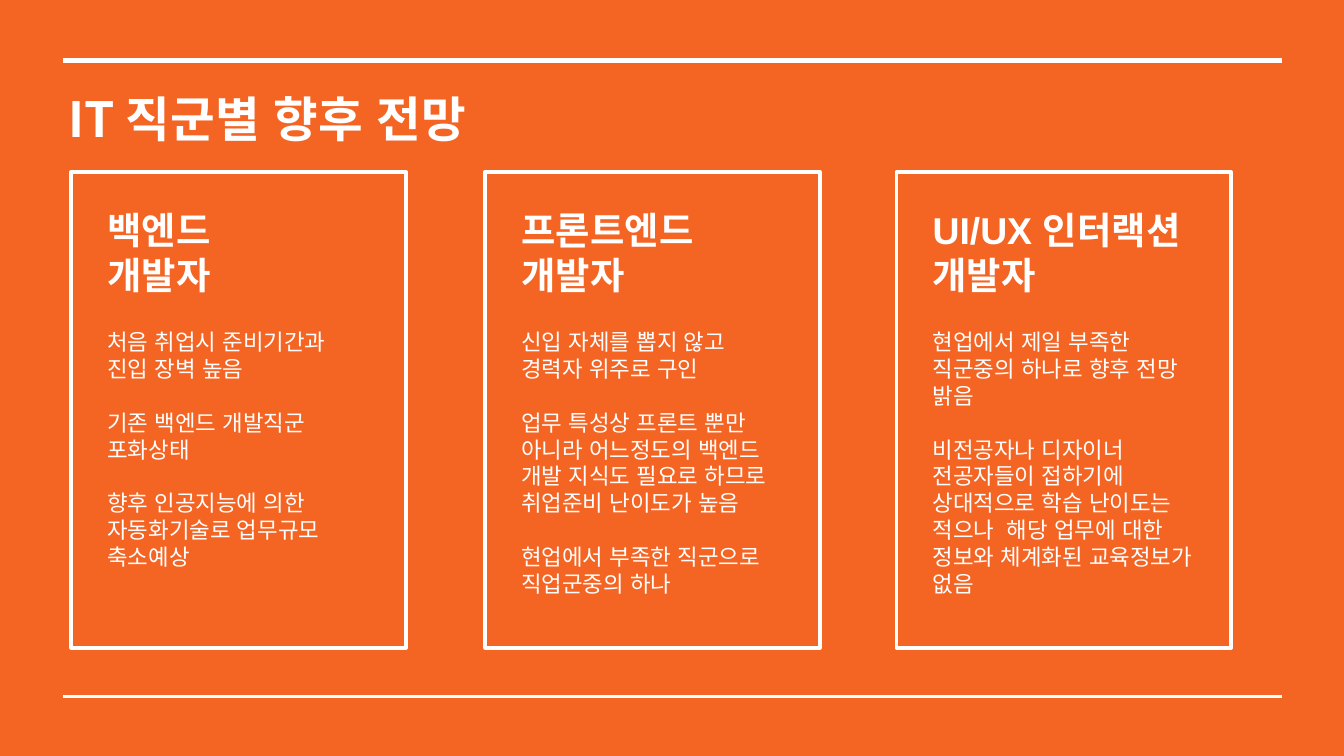
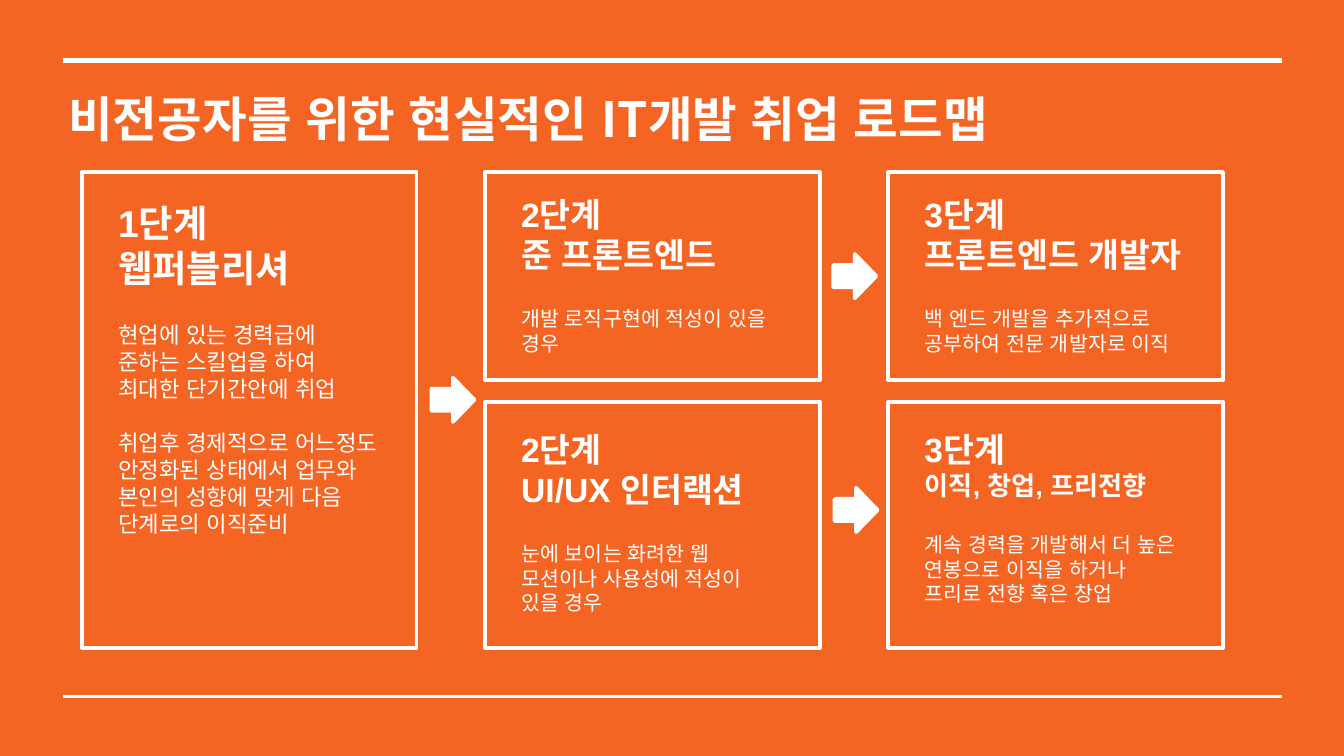
from lxml import etree
from pptx import Presentation
from pptx.dml.color import RGBColor
from pptx.enum.shapes import MSO_CONNECTOR, MSO_SHAPE
from pptx.enum.text import MSO_ANCHOR, MSO_AUTO_SIZE, PP_ALIGN
from pptx.oxml.ns import qn
from pptx.util import Inches, Pt

STRAIGHT = MSO_CONNECTOR.STRAIGHT
RECTANGLE, RIGHT_ARROW = MSO_SHAPE.RECTANGLE, MSO_SHAPE.RIGHT_ARROW
TOP, LEFT = MSO_ANCHOR.TOP, PP_ALIGN.LEFT
GROW = MSO_AUTO_SIZE.SHAPE_TO_FIT_TEXT

ORANGE = RGBColor(0xF4, 0x65, 0x24)
WHITE = RGBColor(0xFF, 0xFF, 0xFF)
BODY_FONT = "Arial"
TITLE_FONT = "Noto Sans CJK KR"

SLIDE_WIDTH = Inches(10)
SLIDE_HEIGHT = SLIDE_WIDTH * 9 // 16

# Rules across every slide: top, weight in points
RULES = [(0.45, 3), (5.18, 1.5)]
RULE_LEFT, RULE_RIGHT = 0.47, 9.54

CARD_TOP, CARD_WIDTH, CARD_HEIGHT = 1.28, 2.49, 3.54
TEXT_INDENT, TEXT_WIDTH = 0.17, 2.15
HEADING_GAP = 17
LINE_RATIO = 1.2

OUTLOOK_TITLE = "IT 직군별 향후 전망"
# Left edge, heading lines, body paragraphs, text height
OUTLOOK_CARDS = [
    (0.53, ["백엔드", "개발자"],
     ["처음 취업시 준비기간과 진입 장벽 높음",
      "기존 백엔드 개발직군 포화상태",
      "향후 인공지능에 의한 자동화기술로 업무규모 축소예상"], 2.83),
    (3.61, ["프론트엔드 개발자"],
     ["신입 자체를 뽑지 않고 경력자 위주로 구인",
      "업무 특성상 프론트 뿐만 아니라 어느정도의 백엔드 개발 지식도 필요로 하므로 취업준비 난이도가 높음",
      "현업에서 부족한 직군으로 직업군중의 하나"], 3.23),
    (6.67, ["UI/UX 인터랙션", "개발자"],
     ["현업에서 제일 부족한 직군중의 하나로 향후 전망 밝음",
      "비전공자나 디자이너 전공자들이 접하기에 상대적으로 학습 난이도는 적으나  해당 업무에 대한 "
      "정보와 체계화된 교육정보가 없음"], 3.03),
]

ROADMAP_TITLE = "비전공자를 위한 현실적인 IT개발 취업 로드맵"
STEP_LEFT, STEP_PITCH = 0.61, 3.0
# Row: card top, card height, text offset
FULL_ROW = (CARD_TOP, CARD_HEIGHT, 0.16)
UPPER_ROW = (CARD_TOP, 1.55, 0.11)
LOWER_ROW = (2.99, 1.83, 0.15)
# Column, row, heading lines, heading sizes, body paragraphs, body size, text width and height
ROADMAP_STEPS = [
    (0, FULL_ROW, ["1단계", "웹퍼블리셔"], [20, 20],
     ["현업에 있는 경력급에 준하는 스킬업을 하여 최대한 단기간안에 취업",
      "취업후 경제적으로 어느정도 안정화된 상태에서 업무와 본인의 성향에 맞게 다음 단계로의 이직준비"],
     12, TEXT_WIDTH, 3.03),
    (1, UPPER_ROW, ["2단계", "준 프론트엔드"], [18, 18],
     ["개발 로직구현에 적성이 있을 경우"], 11, TEXT_WIDTH, 1.31),
    (1, LOWER_ROW, ["2단계", "UI/UX 인터랙션"], [18, 18],
     ["눈에 보이는 화려한 웹 모션이나 사용성에 적성이 있을 경우"], 11, TEXT_WIDTH, 1.5),
    (2, UPPER_ROW, ["3단계", "프론트엔드 개발자"], [18, 18],
     ["백 엔드 개발을 추가적으로 공부하여 전문 개발자로 이직"], 11, 2.32, 1.31),
    (2, LOWER_ROW, ["3단계", "이직, 창업, 프리전향"], [18, 14],
     ["계속 경력을 개발해서 더 높은 연봉으로 이직을 하거나 프리로 전향 혹은 창업"],
     11, TEXT_WIDTH, 1.62),
]
STEP_ARROWS = [(3.21, 2.81), (6.2, 1.89), (6.21, 3.63)]


def style_runs(paragraph, size, bold, latin_font=BODY_FONT):
    for run in paragraph.runs:
        font = run.font
        font.name, font.size, font.bold = latin_font, Pt(size), bold
        font.color.rgb = WHITE
        latin = run._r.rPr.find(qn("a:latin"))
        latin.addnext(etree.Element(qn("a:ea"), typeface=BODY_FONT))


def add_text_box(shapes, left, top, width, height):
    box = shapes.add_textbox(Inches(left), Inches(top), Inches(width), Inches(height))
    frame = box.text_frame
    frame.word_wrap = True
    frame.vertical_anchor = TOP
    return frame


def add_outlined(shapes, preset, left, top, width, height, fill):
    """Add a preset shape with the white, round-cornered outline."""
    shape = shapes.add_shape(preset, Inches(left), Inches(top), Inches(width), Inches(height))
    shape.shadow.inherit = False
    shape.fill.solid()
    shape.fill.fore_color.rgb = fill
    shape.line.color.rgb = WHITE
    shape.line.width = Pt(2)
    etree.SubElement(shape.line._ln, qn("a:round"))


def add_card(shapes, left, row, heading, heading_sizes, body, body_size, text_width, text_height):
    top, height, text_offset = row
    add_outlined(shapes, RECTANGLE, left, top, CARD_WIDTH, height, ORANGE)
    frame = add_text_box(shapes, left + TEXT_INDENT, top + text_offset, text_width, text_height)
    frame.auto_size = GROW
    lines = [(text, size, True, 0) for text, size in zip(heading, heading_sizes)]
    for index, text in enumerate(body):
        gap = body_size * LINE_RATIO if index else HEADING_GAP
        lines.append((text, body_size, False, gap))
    for index, (text, size, bold, gap) in enumerate(lines):
        paragraph = frame.add_paragraph() if index else frame.paragraphs[0]
        paragraph.text = text
        paragraph.alignment = LEFT
        if gap:
            paragraph.space_before = Pt(gap)
        style_runs(paragraph, size, bold)


def add_titled_slide(prs, title, title_width):
    slide = prs.slides.add_slide(prs.slide_layouts[6])
    slide.background.fill.solid()
    slide.background.fill.fore_color.rgb = ORANGE
    for top, weight in RULES:
        rule = slide.shapes.add_connector(
            STRAIGHT, Inches(RULE_LEFT), Inches(top), Inches(RULE_RIGHT), Inches(top))
        rule.line.color.rgb = WHITE
        rule.line.width = Pt(weight)
        etree.SubElement(rule._element.spPr, qn("a:effectLst"))
    frame = add_text_box(slide.shapes, 0.41, 0.56, title_width, 0.72)
    frame.margin_left = frame.margin_right = Inches(0.1)
    frame.margin_top = frame.margin_bottom = Inches(0.1)
    frame.text = title
    style_runs(frame.paragraphs[0], 26, True, TITLE_FONT)
    return slide


def build_outlook(prs):
    slide = add_titled_slide(prs, OUTLOOK_TITLE, 7.43)
    row = (CARD_TOP, CARD_HEIGHT, 0.21)
    for left, heading, body, text_height in OUTLOOK_CARDS:
        group = slide.shapes.add_group_shape()
        add_card(group.shapes, left, row, heading, [20] * len(heading),
                 body, 12, TEXT_WIDTH, text_height)


def build_roadmap(prs):
    slide = add_titled_slide(prs, ROADMAP_TITLE, 8.81)
    for column, *step in ROADMAP_STEPS:
        add_card(slide.shapes, STEP_LEFT + column * STEP_PITCH, *step)
    for left, top in STEP_ARROWS:
        add_outlined(slide.shapes, RIGHT_ARROW, left, top, 0.32, 0.33, WHITE)


def main():
    prs = Presentation()
    prs.slide_width, prs.slide_height = SLIDE_WIDTH, SLIDE_HEIGHT
    build_outlook(prs)
    build_roadmap(prs)
    prs.save("out.pptx")


if __name__ == "__main__":
    main()
